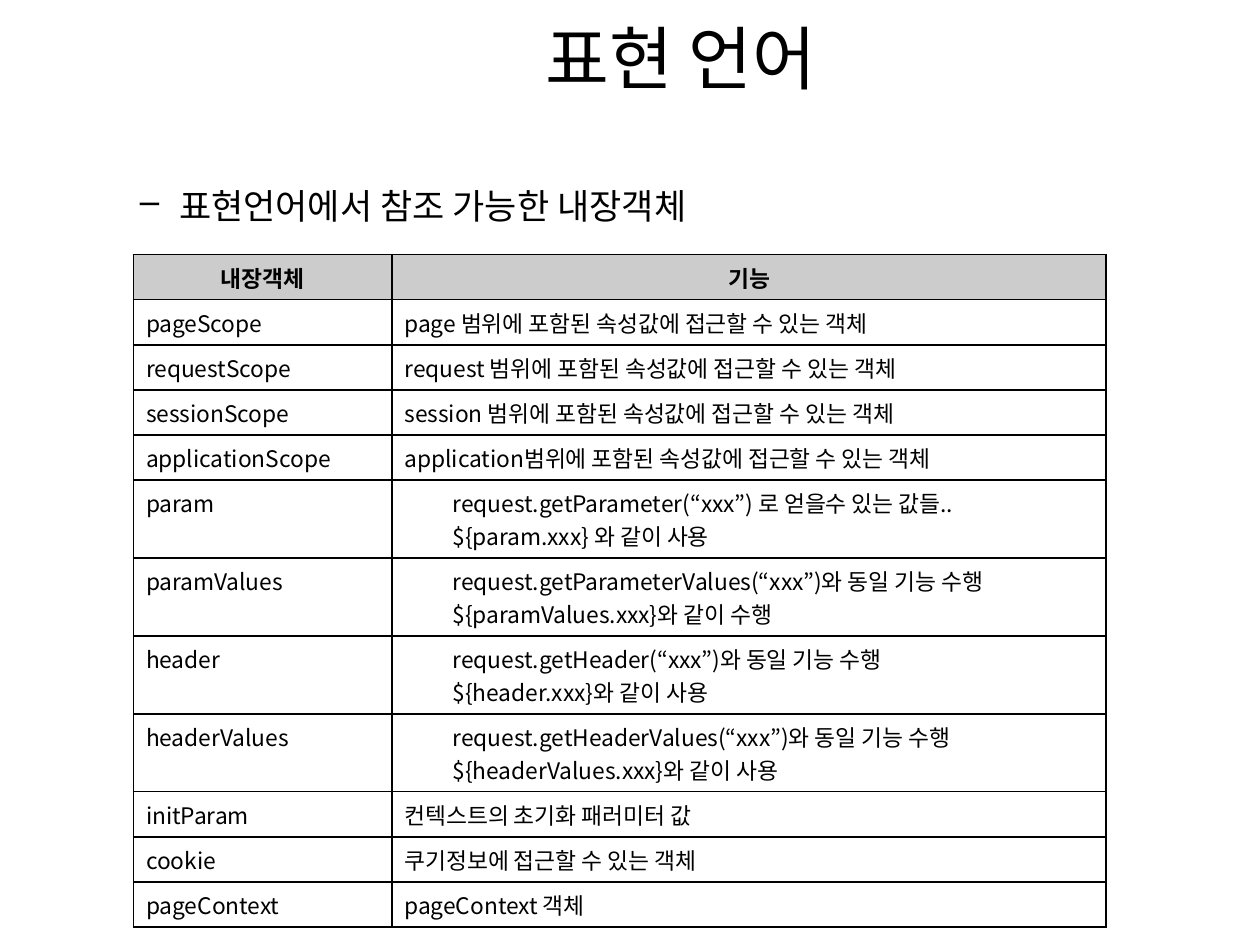
from pptx import Presentation
from pptx.dml.color import RGBColor
from pptx.enum.text import MSO_ANCHOR as ANCHOR, PP_ALIGN as ALIGN
from pptx.oxml.ns import qn
from pptx.util import Cm, Pt
from lxml.etree import SubElement

FONT = "Noto Sans CJK KR"
TITLE = "표현 언어"
SUBTITLE = "표현언어에서 참조 가능한 내장객체"
HEADER = ("내장객체", ["기능"])
OBJECTS = [
    ("pageScope", ["page 범위에 포함된 속성값에 접근할 수 있는 객체"]),
    ("requestScope", ["request 범위에 포함된 속성값에 접근할 수 있는 객체"]),
    ("sessionScope", ["session 범위에 포함된 속성값에 접근할 수 있는 객체"]),
    ("applicationScope", ["application범위에 포함된 속성값에 접근할 수 있는 객체"]),
    ("param", ["request.getParameter(“xxx”) 로 얻을수 있는 값들..",
               "${param.xxx} 와 같이 사용"]),
    ("paramValues", ["request.getParameterValues(“xxx”)와 동일 기능 수행",
                     "${paramValues.xxx}와 같이 수행"]),
    ("header", ["request.getHeader(“xxx”)와 동일 기능 수행",
                "${header.xxx}와 같이 사용"]),
    ("headerValues", ["request.getHeaderValues(“xxx”)와 동일 기능 수행",
                      "${headerValues.xxx}와 같이 사용"]),
    ("initParam", ["컨텍스트의 초기화 패러미터 값"]),
    ("cookie", ["쿠기정보에 접근할 수 있는 객체"]),
    ("pageContext", ["pageContext 객체"]),
]
COLUMNS = (5.21, 14.4)
ROW_HEIGHTS = {1: 0.91, 2: 1.57}


def color(value):
    return RGBColor.from_string(value)


def write(tf, lines, size, bold=False, align=ALIGN.LEFT, indent=0, margin=0):
    tf.word_wrap = True
    for i, line in enumerate(lines):
        p = tf.paragraphs[0] if i == 0 else tf.add_paragraph()
        p.text = line
        p.alignment = align
        p.font.name = FONT
        p.font.size = Pt(size)
        p.font.bold = bold
        p.font.color.rgb = color("000000")
        pPr = p._p.get_or_add_pPr()
        SubElement(pPr.find(qn("a:defRPr")), qn("a:ea"), typeface=FONT)
        pPr.set("marL", str(Cm(margin)))
        pPr.set("indent", str(Cm(indent)))


def add_text(left, top, width, height, text, size, **style):
    tf = s.shapes.add_textbox(Cm(left), Cm(top), Cm(width), Cm(height)).text_frame
    write(tf, [text], size, **style)
    return tf


def add_bullet(p, char):
    bullet = SubElement(p._p.pPr, qn("a:buChar"), char=char)
    p._p.pPr.find(qn("a:defRPr")).addprevious(bullet)


def add_borders(cell):
    tcPr = cell._tc.get_or_add_tcPr()
    for i, side in enumerate(("a:lnL", "a:lnR", "a:lnT", "a:lnB")):
        line = SubElement(tcPr, qn(side), w=str(Pt(1)))
        fill = SubElement(line, qn("a:solidFill"))
        SubElement(fill, qn("a:srgbClr"), val="000000")
        tcPr.insert(i, line)


prs = Presentation()
prs.slide_width, prs.slide_height = Cm(25.4), Cm(19.05)
s = prs.slides.add_slide(prs.slide_layouts[6])

body = add_text(1.3, 2.72, 22.86, 15.39, SUBTITLE, 20, margin=2.06, indent=-0.79)
body.margin_top = Cm(1)
add_bullet(body.paragraphs[0], "–")

title = add_text(5.49, 0.28, 16.48, 1.73, TITLE, 39.6, align=ALIGN.CENTER)
title.vertical_anchor = ANCHOR.MIDDLE

rows = [HEADER] + OBJECTS
heights = [ROW_HEIGHTS[len(lines)] for _, lines in rows]
table = s.shapes.add_table(len(rows), len(COLUMNS), Cm(2.69), Cm(5.13),
                           Cm(sum(COLUMNS)), Cm(sum(heights))).table
for column, width in zip(table.columns, COLUMNS):
    column.width = Cm(width)
for r, ((name, lines), height) in enumerate(zip(rows, heights)):
    table.rows[r].height = Cm(height)
    for c, content in enumerate(([name], lines)):
        cell = table.cell(r, c)
        write(cell.text_frame, content, 13, bold=r == 0,
              align=ALIGN.CENTER if r == 0 else ALIGN.LEFT,
              indent=0.97 if len(content) > 1 else 0)
        if r == 0:
            cell.fill.solid()
            cell.fill.fore_color.rgb = color("CCCCCC")
        else:
            cell.fill.background()
        add_borders(cell)

prs.save("out.pptx")
